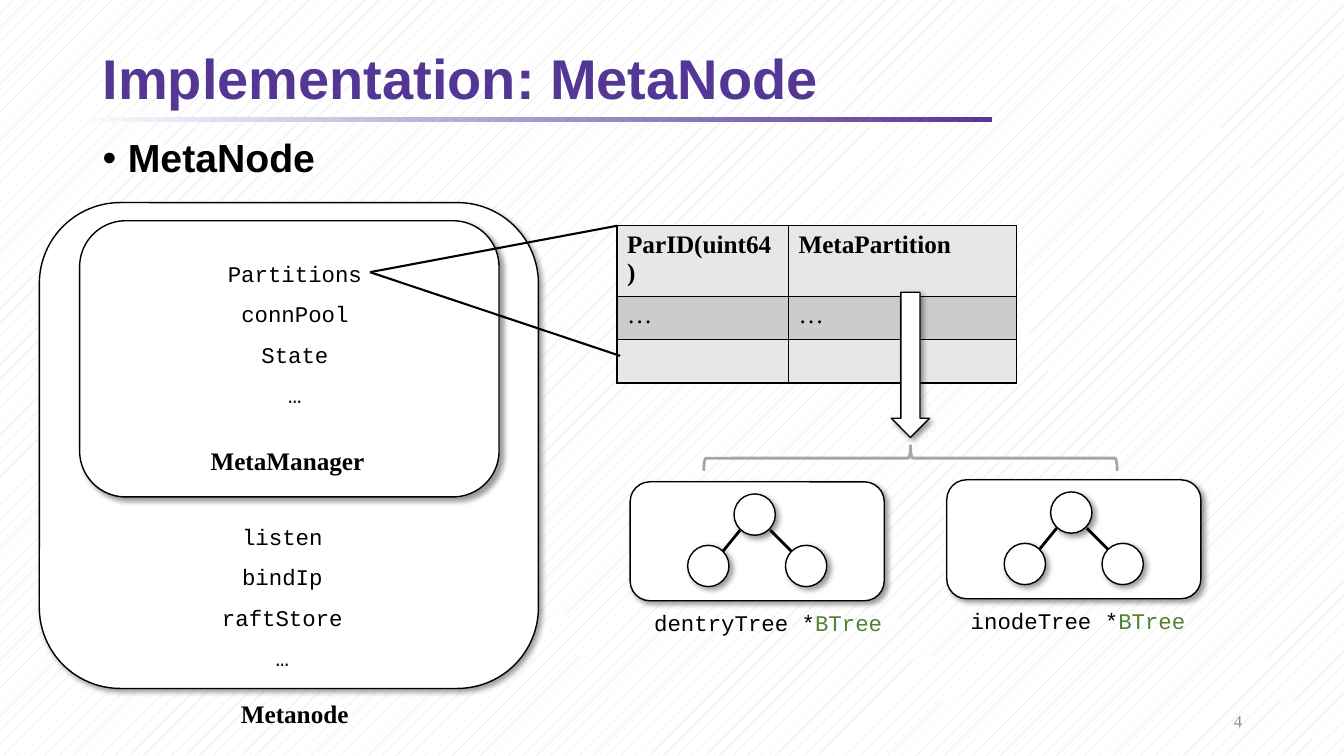
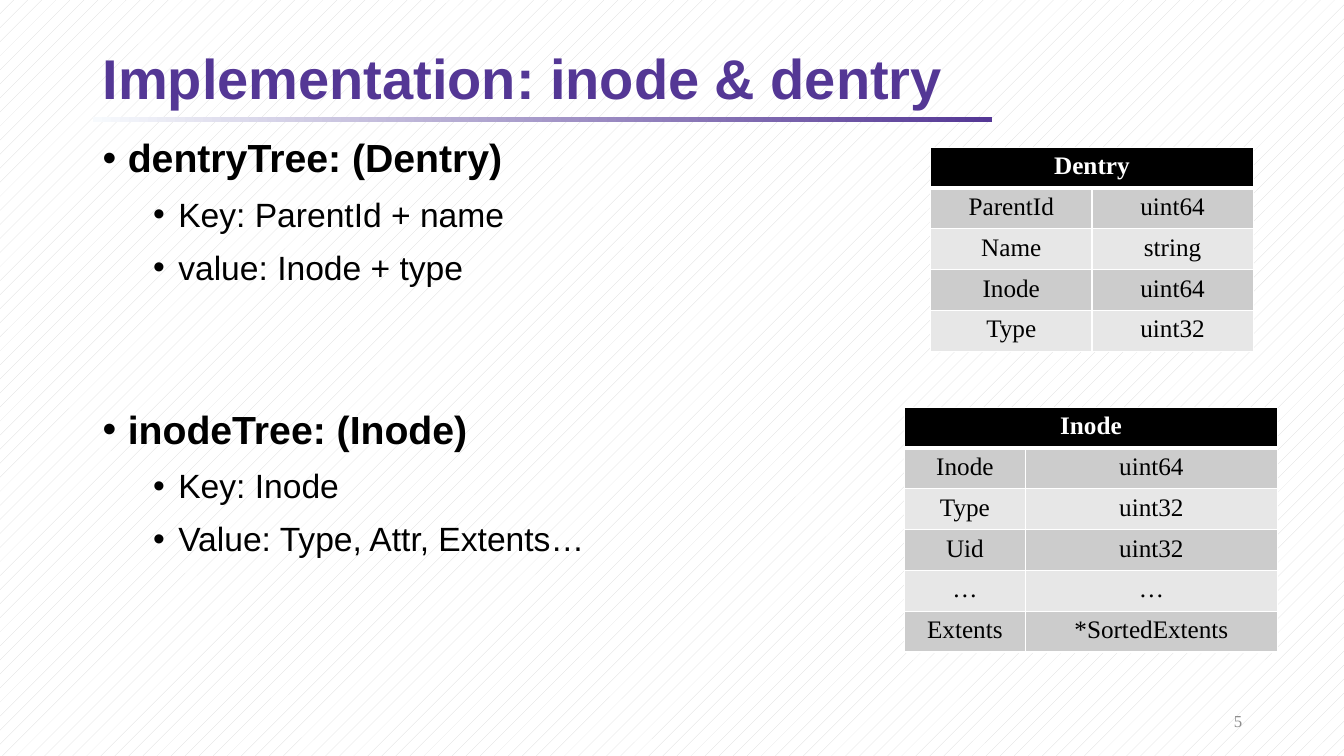
from lxml.etree import SubElement
from pptx import Presentation
from pptx.dml.color import RGBColor
from pptx.enum.dml import MSO_PATTERN
from pptx.enum.shapes import MSO_CONNECTOR, MSO_SHAPE as SHAPE
from pptx.enum.text import MSO_ANCHOR as ANCHOR, MSO_AUTO_SIZE, PP_ALIGN as ALIGN
from pptx.oxml.ns import qn
from pptx.util import Inches, Pt

BLACK = RGBColor(0x00, 0x00, 0x00)
WHITE = RGBColor(0xFF, 0xFF, 0xFF)
PURPLE = RGBColor(0x54, 0x37, 0x95)
PALE = RGBColor(0xF7, 0xFA, 0xFD)
GREEN = RGBColor(0x54, 0x82, 0x35)
HATCH = RGBColor(0xD9, 0xD9, 0xD9)
BRACE_GRAY = RGBColor(0xA6, 0xA6, 0xA6)
NUMBER_GRAY = RGBColor(0x8C, 0x8C, 0x8C)
LIGHT_BAND = RGBColor(0xE7, 0xE7, 0xE7)
DARK_BAND = RGBColor(0xCC, 0xCC, 0xCC)
SANS, SERIF, MONO = "Arial", "Times New Roman", "Courier New"


def style_font(paragraph, name, size, color=None, bold=False):
    """Set the font of a whole paragraph."""
    font = paragraph.font
    font.name, font.size, font.bold = name, Pt(size), bold
    if color is not None:
        font.color.rgb = color


def add_text_frame(slide, left, top, width, height, wrap=True):
    """Add a text box and return its text frame."""
    box = slide.shapes.add_textbox(*map(Inches, (left, top, width, height)))
    frame = box.text_frame
    frame.word_wrap = wrap
    if not wrap:
        frame.auto_size = MSO_AUTO_SIZE.SHAPE_TO_FIT_TEXT
    return frame


def add_caption(slide, text, left, top, width):
    """Add a bold serif caption on one line."""
    paragraph = add_text_frame(slide, left, top, width, 0.4, wrap=False).paragraphs[0]
    paragraph.text = text
    style_font(paragraph, SERIF, 18, BLACK, bold=True)


def add_field_list(slide, fields, left, top, width):
    """Add centred code names, one per line."""
    frame = add_text_frame(slide, left, top, width, 1.67, wrap=False)
    frame.text = "\n".join(fields)
    for paragraph in frame.paragraphs:
        paragraph.alignment = ALIGN.CENTER
        paragraph.line_spacing = 1.5
        style_font(paragraph, MONO, 16, BLACK)


def add_raised(slide, kind, left, top, width, height):
    """Add a white outlined shape with a soft shadow."""
    shape = slide.shapes.add_shape(kind, *map(Inches, (left, top, width, height)))
    shape.fill.solid()
    shape.fill.fore_color.rgb = WHITE
    shape.line.color.rgb = BLACK
    shape.line.width = Pt(1)
    shape.shadow.inherit = False
    effects = shape._element.spPr.find(qn("a:effectLst"))
    shadow = SubElement(effects, qn("a:outerShdw"), blurRad=str(Pt(4)), dist=str(Pt(3)),
                        dir="2700000", algn="tl", rotWithShape="0")
    color = SubElement(shadow, qn("a:srgbClr"), val=str(BLACK))
    SubElement(color, qn("a:alpha"), val="40000")


def add_line(slide, start, end, width):
    """Draw a straight black line between two points."""
    line = slide.shapes.add_connector(MSO_CONNECTOR.STRAIGHT, *map(Inches, (*start, *end)))
    line.line.color.rgb = BLACK
    line.line.width = Pt(width)
    SubElement(line._element.spPr, qn("a:effectLst"))


def set_borders(cell, color, top=1, bottom=1):
    """Outline a cell, with its own top and bottom widths."""
    properties = cell._tc.get_or_add_tcPr()
    for index, (side, width) in enumerate((("L", 1), ("R", 1), ("T", top), ("B", bottom))):
        border = SubElement(properties, qn(f"a:ln{side}"), w=str(Pt(width)))
        fill = SubElement(border, qn("a:solidFill"))
        SubElement(fill, qn("a:srgbClr"), val=str(color))
        properties.insert(index, border)


def add_grid(slide, rows, left, top, widths, row_height):
    """Add an unstyled table holding the given rows and return it."""
    frame = slide.shapes.add_table(len(rows), len(widths), Inches(left), Inches(top),
                                   Inches(sum(widths)), Inches(row_height * len(rows)))
    table = frame.table
    table.first_row = table.horz_banding = False
    for column, width in zip(table.columns, widths):
        column.width = Inches(width)
    for row, texts in zip(table.rows, rows):
        row.height = Inches(row_height)
        for cell, text in zip(row.cells, texts):
            cell.text = text
    return table


def style_cell(cell, fill, color=BLACK, bold=False, align=ALIGN.LEFT):
    """Fill a cell and set its text style."""
    cell.fill.solid()
    cell.fill.fore_color.rgb = fill
    paragraph = cell.text_frame.paragraphs[0]
    paragraph.alignment = align
    style_font(paragraph, SERIF, 18, color, bold)


def add_partition_table(slide, left, top):
    """Add the bordered table of partitions."""
    rows = [("ParID(uint64)", "MetaPartition"), ("…", "…"), ("", "")]
    table = add_grid(slide, rows, left, top, (1.7, 2.26), 0.43)
    for index, row in enumerate(table.rows):
        for cell in row.cells:
            style_cell(cell, DARK_BAND if index % 2 else LIGHT_BAND, bold=index == 0)
            set_borders(cell, BLACK)


def add_struct_table(slide, name, fields, left, top, widths):
    """Add a struct table: black header over banded fields."""
    table = add_grid(slide, [(name, ""), *fields], left, top, widths, 0.405)
    table.cell(0, 0).merge(table.cell(0, 1))
    for index, row in enumerate(table.rows):
        for cell in row.cells:
            if index == 0:
                style_cell(cell, BLACK, WHITE, True, ALIGN.CENTER)
            else:
                style_cell(cell, DARK_BAND if index % 2 else LIGHT_BAND, align=ALIGN.CENTER)
            set_borders(cell, WHITE, 3 if index == 1 else 1, 3 if index == 0 else 1)


def add_tree(slide, name, left, top, label_width):
    """Add a panel with a three-node tree and its label."""
    add_raised(slide, SHAPE.ROUNDED_RECTANGLE, left, top, 2.52, 1.18)
    for x, y in ((1.03, 0.12), (0.57, 0.63), (1.54, 0.63)):
        add_raised(slide, SHAPE.OVAL, left + x, top + y, 0.41, 0.41)
    for child, root in ((0.92, 1.09), (1.6, 1.39)):
        add_line(slide, (left + child, top + 0.69), (left + root, top + 0.48), 2)
    frame = add_text_frame(slide, left + 0.14, top + 1.21, label_width, 0.37, wrap=False)
    paragraph = frame.paragraphs[0]
    style_font(paragraph, MONO, 16)
    for text, color in ((f"{name} *", BLACK), ("BTree", GREEN)):
        run = paragraph.add_run()
        run.text = text
        run.font.color.rgb = color


def add_metanode(slide, left, top):
    """Add the node box with its manager box and field lists."""
    add_raised(slide, SHAPE.ROUNDED_RECTANGLE, left, top, 4.95, 4.82)
    add_raised(slide, SHAPE.ROUNDED_RECTANGLE, left + 0.4, top + 0.18, 4.16, 2.74)
    add_field_list(slide, ("Partitions", "connPool", "State", "…"), left + 1.76, top + 0.39, 1.55)
    add_field_list(slide, ("listen", "bindIp", "raftStore", "…"), left + 1.7, top + 3, 1.42)
    add_caption(slide, "MetaManager", left + 1.6, top + 2.36, 1.74)
    add_caption(slide, "Metanode", left + 1.9, top + 4.87, 1.28)


def add_brace(slide, left, top, width, height):
    """Add a brace pointing up that spans the given box."""
    x, y = left + (width - height) / 2, top + (height - width) / 2
    brace = slide.shapes.add_shape(SHAPE.LEFT_BRACE, *map(Inches, (x, y, height, width)))
    brace.rotation = 90
    brace.fill.background()
    brace.line.color.rgb = BRACE_GRAY
    brace.line.width = Pt(2)
    brace.shadow.inherit = False


def add_outline(slide, items, left, top, width, height):
    """Add bulleted text from (level, text, space before) items."""
    frame = add_text_frame(slide, left, top, width, height)
    for index, (level, text, space) in enumerate(items):
        paragraph = frame.add_paragraph() if index else frame.paragraphs[0]
        paragraph.text = text
        paragraph.level = level
        properties = paragraph._p.get_or_add_pPr()
        properties.set("marL", str(Inches(0.25 + 0.5 * level)))
        properties.set("indent", str(Inches(-0.25)))
        SubElement(properties, qn("a:buFont"), typeface=SANS)
        SubElement(properties, qn("a:buChar"), char="•")
        paragraph.line_spacing = 0.9
        paragraph.space_before = Pt(space)
        style_font(paragraph, SANS, 24 if level else 28, BLACK, bold=level == 0)


def add_base_slide(presentation, title, number):
    """Add a slide with background, title, rule and number."""
    slide = presentation.slides.add_slide(presentation.slide_layouts[6])
    fill = slide.background.fill
    fill.patterned()
    fill.pattern = MSO_PATTERN.PERCENT_5
    fill.fore_color.rgb, fill.back_color.rgb = HATCH, WHITE

    rule = slide.shapes.add_shape(SHAPE.RECTANGLE, *map(Inches, (0.92, 1.16, 8.92, 0.05)))
    rule.fill.gradient()
    rule.fill.gradient_angle = 0
    for stop, color, position in zip(rule.fill.gradient_stops, (PALE, PURPLE), (0, 1)):
        stop.color.rgb, stop.position = color, position
    rule.line.fill.background()
    rule.shadow.inherit = False

    frame = add_text_frame(slide, 0.92, 0.43, 11.5, 0.75)
    frame.vertical_anchor = ANCHOR.MIDDLE
    paragraph = frame.paragraphs[0]
    paragraph.text = title
    paragraph.line_spacing = 0.9
    style_font(paragraph, SANS, 40, PURPLE, bold=True)

    frame = add_text_frame(slide, 9.42, 6.95, 3, 0.4)
    frame.vertical_anchor = ANCHOR.MIDDLE
    paragraph = frame.paragraphs[0]
    paragraph.text = str(number)
    paragraph.alignment = ALIGN.RIGHT
    style_font(paragraph, SERIF, 12, NUMBER_GRAY)
    return slide


def build_metanode_slide(presentation):
    """Build the slide on the structure of the node."""
    slide = add_base_slide(presentation, "Implementation: MetaNode", 4)
    add_outline(slide, [(0, "MetaNode", 10)], 0.92, 1.33, 12.16, 5.43)
    add_metanode(slide, 0.39, 2.01)
    add_partition_table(slide, 6.12, 2.24)
    add_tree(slide, "dentryTree", 6.25, 4.78, 2.5)
    add_tree(slide, "inodeTree", 9.39, 4.76, 2.36)
    add_brace(slide, 6.98, 4.42, 4.1, 0.25)
    add_raised(slide, SHAPE.DOWN_ARROW, 8.84, 2.9, 0.38, 1.44)
    for end in ((6.12, 2.24), (6.15, 3.53)):
        add_line(slide, (3.67, 2.7), end, 1.5)


def build_trees_slide(presentation):
    """Build the slide on the two trees and their structs."""
    slide = add_base_slide(presentation, "Implementation: inode & dentry", 5)
    items = [(0, "dentryTree: (Dentry)", 10), (1, "Key: ParentId + name", 12),
             (1, "value: Inode + type", 12), (0, "inodeTree: (Inode)", 88),
             (1, "Key: Inode", 12), (1, "Value: Type, Attr, Extents…", 12)]
    add_outline(slide, items, 0.92, 1.33, 12.16, 5.43)
    dentry = [("ParentId", "uint64"), ("Name", "string"), ("Inode", "uint64"), ("Type", "uint32")]
    add_struct_table(slide, "Dentry", dentry, 9.23, 1.46, (1.6, 1.6))
    inode = [("Inode", "uint64"), ("Type", "uint32"), ("Uid", "uint32"), ("…", "…"),
             ("Extents", "*SortedExtents")]
    add_struct_table(slide, "Inode", inode, 8.97, 4.04, (1.2, 2.5))


def main():
    """Build and save the presentation."""
    presentation = Presentation()
    presentation.slide_width, presentation.slide_height = Inches(13.33), Inches(7.5)
    build_metanode_slide(presentation)
    build_trees_slide(presentation)
    presentation.save("out.pptx")


if __name__ == "__main__":
    main()
